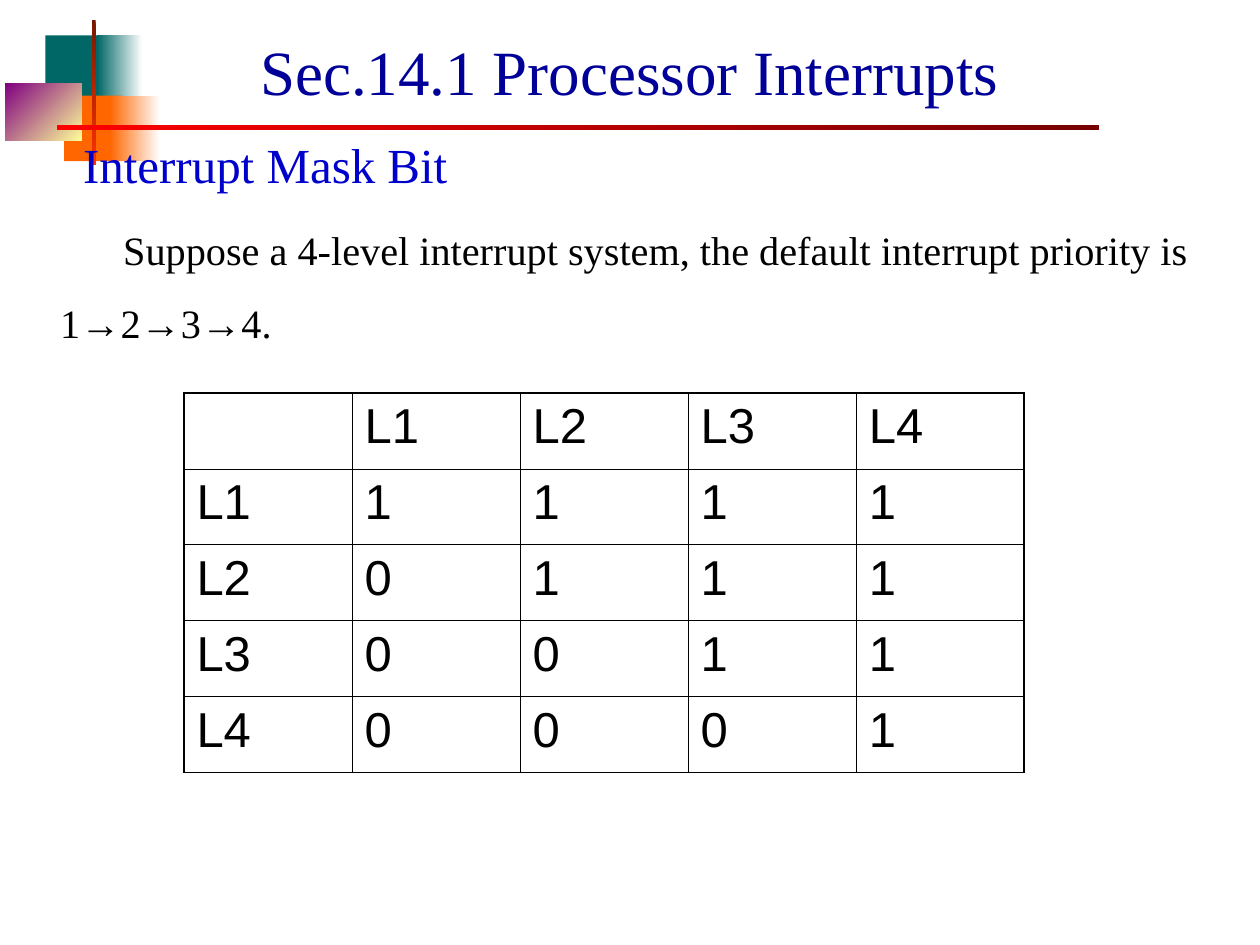
from typing import NamedTuple

from lxml import etree
from pptx import Presentation
from pptx.dml.color import RGBColor
from pptx.enum import shapes, text
from pptx.oxml.ns import qn
from pptx.util import Inches, Pt

BLACK = RGBColor(0x00, 0x00, 0x00)
WHITE = RGBColor(0xFF, 0xFF, 0xFF)
TEAL = RGBColor(0x00, 0x66, 0x66)
ORANGE = RGBColor(0xFF, 0x66, 0x00)
YELLOW = RGBColor(0xFF, 0xFF, 0x99)
PURPLE = RGBColor(0x80, 0x00, 0x80)
RED = RGBColor(0xFF, 0x00, 0x00)
SCARLET = RGBColor(0xFF, 0x33, 0x00)
BROWN = RGBColor(0x76, 0x18, 0x00)
MAROON = RGBColor(0x76, 0x00, 0x00)
TITLE_BLUE = RGBColor(0x00, 0x00, 0x99)
HEADING_BLUE = RGBColor(0x00, 0x00, 0xCC)
SERIF, SANS = "Times New Roman", "Arial"
THIN, THICK = 0.45, 1.08


class Block(NamedTuple):
    """Decorative rectangle; two colours make a gradient at a clockwise angle."""
    left: float
    top: float
    width: float
    height: float
    colors: tuple[RGBColor, ...]
    angle: int = 0


BLOCKS = [
    Block(0.36, 0.28, 0.48, 0.52, (TEAL,)),
    Block(0.77, 0.28, 0.36, 0.52, (WHITE, TEAL), 180),
    Block(0.51, 0.76, 0.46, 0.52, (ORANGE,)),
    Block(0.87, 0.76, 0.4, 0.52, (WHITE, ORANGE), 180),
    Block(0.04, 0.66, 0.61, 0.46, (YELLOW, PURPLE), 225),
    Block(0.73, 0.16, 0.03, 1.15, (BROWN, SCARLET), 90),
    Block(0.45, 0.99, 8.27, 0.04, (RED, MAROON)),
]


def draw_block(slide, block: Block) -> None:
    sp = slide.shapes.add_shape(shapes.MSO_SHAPE.RECTANGLE, *map(Inches, block[:4]))
    sp.shadow.inherit = False
    sp.line.fill.background()
    if len(block.colors) == 1:
        sp.fill.solid()
        sp.fill.fore_color.rgb = block.colors[0]
        return
    sp.fill.gradient()
    sp.fill.gradient_angle = (360 - block.angle) % 360
    for stop, color in zip(sp.fill.gradient_stops, block.colors):
        stop.color.rgb = color


def set_font(p, name: str, size: float, color: RGBColor) -> None:
    for key, value in {"name": name, "size": Pt(size), "bold": False}.items():
        setattr(p.font, key, value)
    p.font.color.rgb = color


def fill_text(sp, box: tuple[float, ...], words: str, size: float, color: RGBColor,
              frame: dict, para: dict, margin: float = 0, indent: float = 0) -> None:
    """Place a text shape and write one formatted paragraph in it."""
    for key, value in zip(("left", "top", "width", "height"), box):
        setattr(sp, key, Inches(value))
    tf = sp.text_frame
    defaults = {"word_wrap": True, "auto_size": text.MSO_AUTO_SIZE.NONE}
    for key, value in (defaults | frame).items():
        setattr(tf, key, value)
    p = tf.paragraphs[0]
    p.text = words
    for key, value in para.items():
        setattr(p, key, value)
    pPr = p._p.get_or_add_pPr()
    pPr.set("marL", str(Inches(margin)))
    pPr.set("indent", str(Inches(indent)))
    set_font(p, SERIF, size, color)


def set_borders(cell, widths: dict[str, float]) -> None:
    tcPr = cell._tc.get_or_add_tcPr()
    for i, (side, width) in enumerate(widths.items()):
        ln = etree.Element(qn(f"a:ln{side}"), w=str(Pt(width)))
        fill = etree.SubElement(ln, qn("a:solidFill"))
        etree.SubElement(fill, qn("a:srgbClr"), val=str(BLACK))
        tcPr.insert(i, ln)


def add_mask_table(slide, levels: int = 4) -> None:
    """Each level masks itself and every lower-priority level."""
    names = [f"L{i}" for i in range(1, levels + 1)]
    rows = [["", *names]]
    rows += [[name, *(str(int(c >= r)) for c in range(levels))]
             for r, name in enumerate(names)]
    table = slide.shapes.add_table(levels + 1, levels + 1, Inches(1.46), Inches(3.12),
                                   Inches(6.67), Inches(3.01)).table
    table.first_row = table.horz_banding = False
    for r, row in enumerate(rows):
        for c, value in enumerate(row):
            cell = table.cell(r, c)
            cell.fill.background()
            p = cell.text_frame.paragraphs[0]
            p.text = value
            set_font(p, SANS, 28, BLACK)
            outer = {"L": c == 0, "R": c == levels, "T": r == 0, "B": r == levels}
            set_borders(cell, {s: THICK if edge else THIN for s, edge in outer.items()})


def main() -> None:
    prs = Presentation()
    prs.slide_width, prs.slide_height = Inches(10), Inches(7.5)
    slide = prs.slides.add_slide(prs.slide_layouts[0])
    title, subtitle = slide.placeholders
    for block in BLOCKS:
        draw_block(slide, block)
    for sp in (title, subtitle):  # bring the text in front of the blocks
        slide.shapes._spTree.append(sp._element)

    fill_text(title, (1.61, 0.28, 6.77, 0.55), "Sec.14.1 Processor Interrupts",
              36, TITLE_BLUE, {"vertical_anchor": text.MSO_ANCHOR.MIDDLE},
              {"alignment": text.PP_ALIGN.CENTER})
    top = {"vertical_anchor": text.MSO_ANCHOR.TOP}
    left = {"alignment": text.PP_ALIGN.LEFT}
    fill_text(subtitle, (0.27, 1.07, 3.7, 0.47), "Interrupt Mask Bit", 28, HEADING_BLUE,
              top, left | {"line_spacing": 0.9, "space_before": Pt(0)}, indent=0.29)
    body = slide.shapes.add_textbox(0, 0, 0, 0)
    fill_text(body, (0, 1.55, 10, 1.25),
              "Suppose a 4-level interrupt system, the default interrupt priority is 1→2→3→4.",
              23, BLACK, top | {"auto_size": text.MSO_AUTO_SIZE.SHAPE_TO_FIT_TEXT},
              left | {"line_spacing": 1.5}, margin=0.38, indent=0.5)
    add_mask_table(slide)
    prs.save("out.pptx")


if __name__ == "__main__":
    main()
